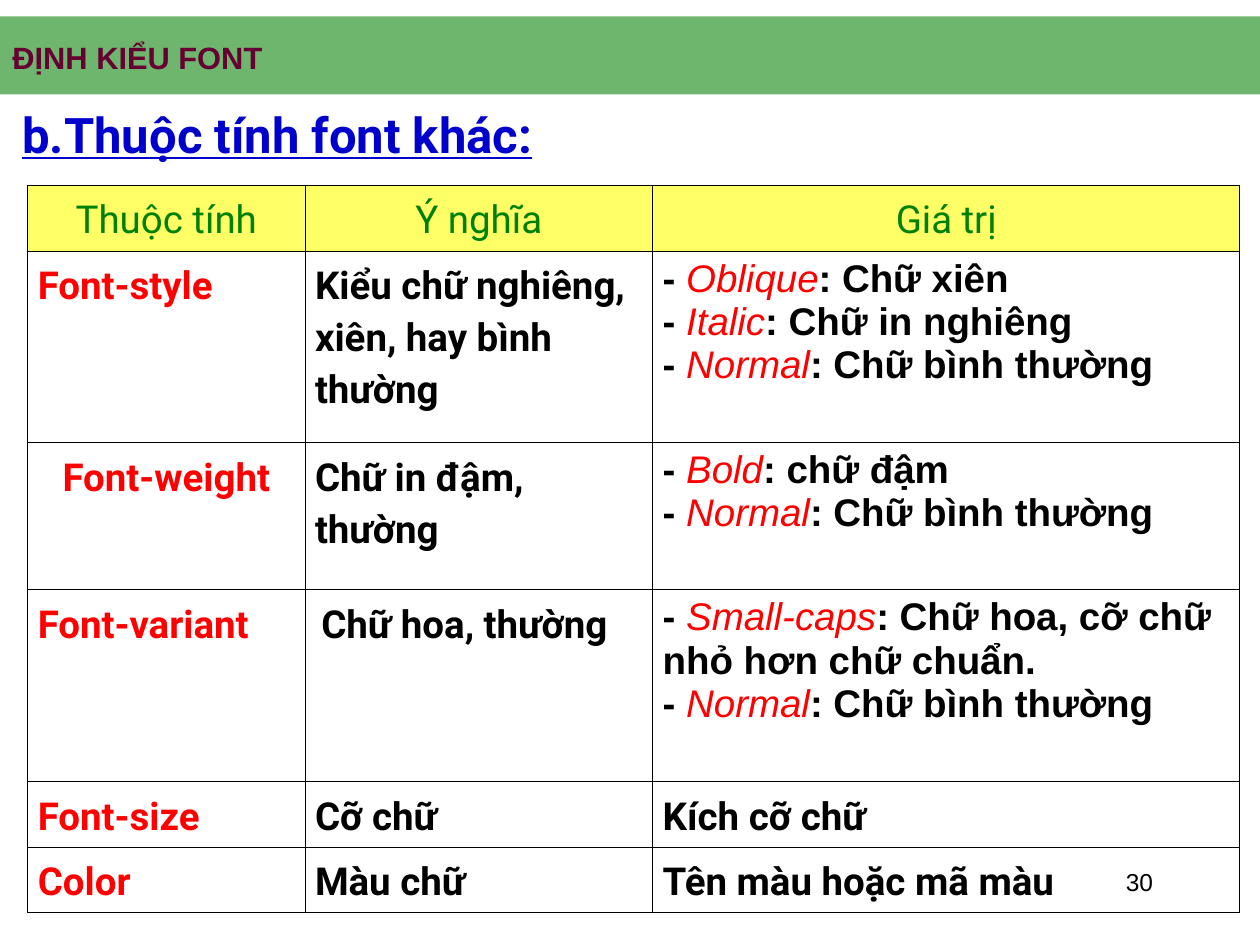
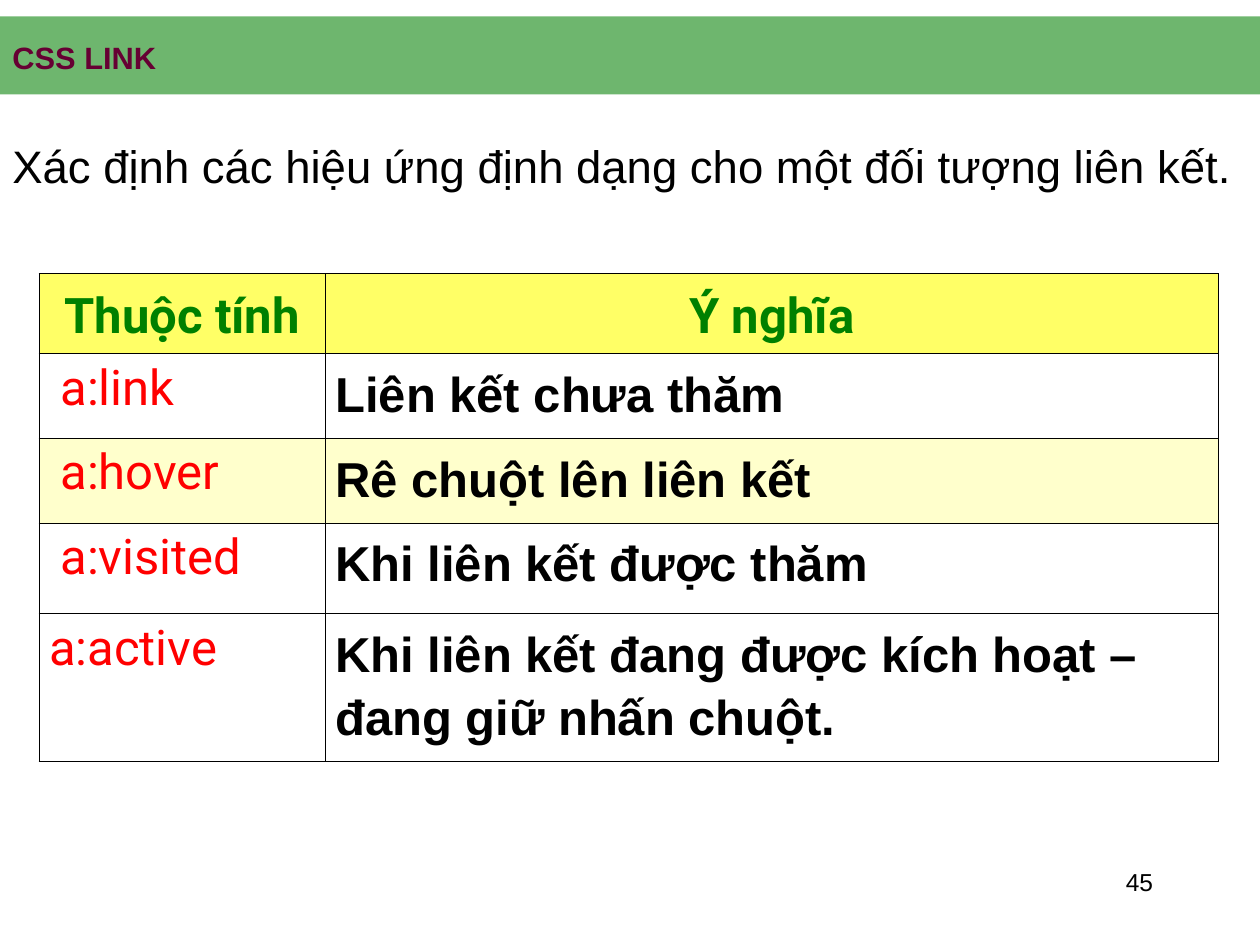
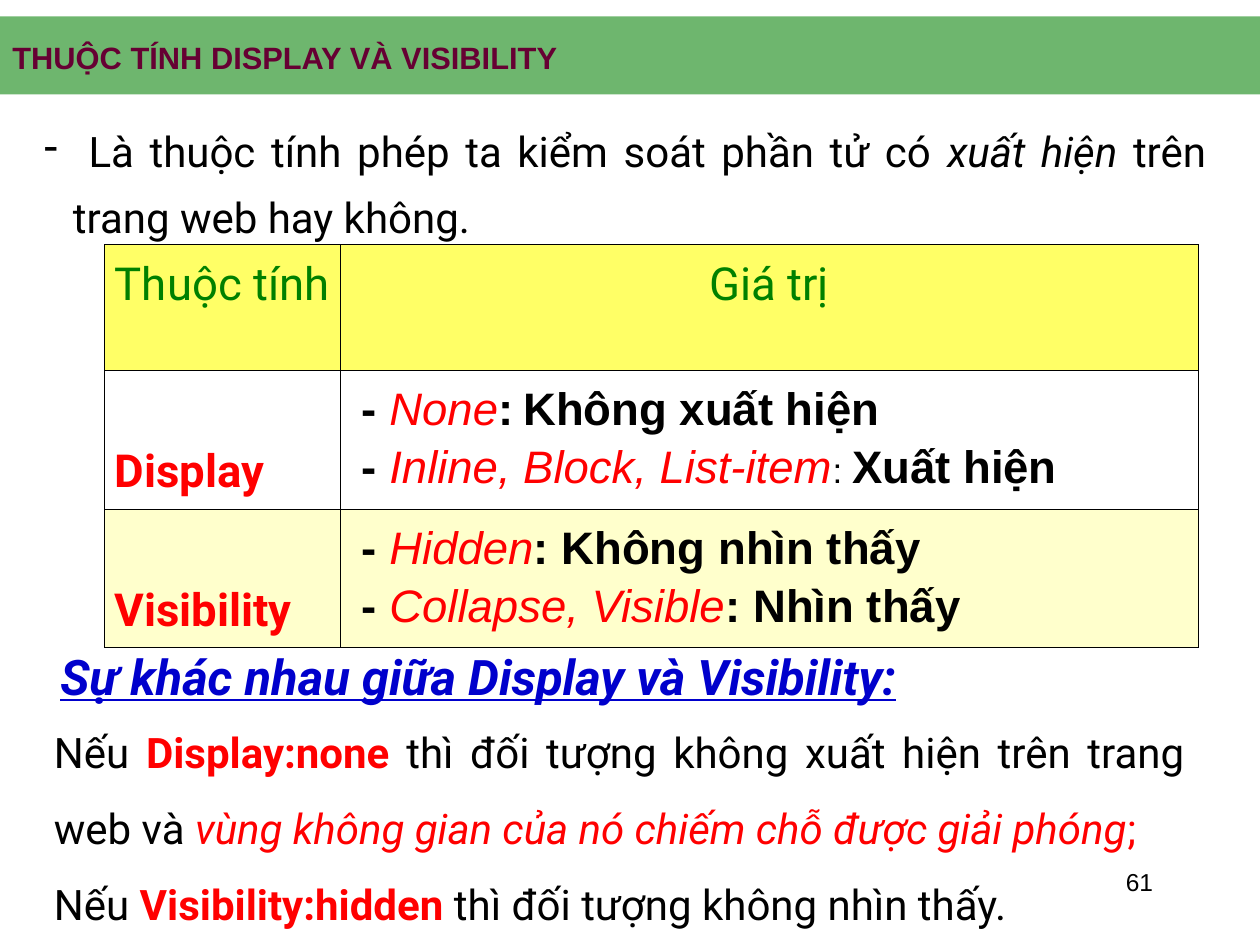
from dataclasses import dataclass

from lxml.etree import SubElement
from pptx import Presentation
from pptx.dml.color import RGBColor
from pptx.enum.shapes import MSO_SHAPE
from pptx.enum.text import MSO_ANCHOR, PP_ALIGN
from pptx.oxml.ns import qn
from pptx.util import Inches, Pt

GREEN = RGBColor(0x00, 0x80, 0x00)
MAROON = RGBColor(0x66, 0x00, 0x33)
BLUE = RGBColor(0x00, 0x00, 0xCC)
RED = RGBColor(0xFF, 0x00, 0x00)
BLACK = RGBColor(0x00, 0x00, 0x00)
YELLOW = RGBColor(0xFF, 0xFF, 0x66)
CREAM = RGBColor(0xFF, 0xFF, 0xCC)

WIDTH, HEIGHT = Inches(10), Inches(7.5)
COLUMN, ROW = WIDTH / 100, HEIGHT / 100

BAND = (0, 1.73, 100, 8.27)
TITLE = (0, 3.2, 100, 5.6)
NUMBER = (71.7, 91.07, 20.8, 6.67)

HEADER = dict(font="Roboto", color=GREEN, align=PP_ALIGN.CENTER, spacing=1.15)
PROPERTY = dict(font="Roboto", color=RED, bold=True, spacing=1.15)
MEANING = dict(font="Roboto", bold=True, spacing=1.15)
SUBTITLE = dict(font="Roboto", size=28, color=BLUE, bold=True, underline=True)
BODY = dict(font="Roboto", size=24, align=PP_ALIGN.JUSTIFY)
KEYWORD = dict(color=RED, bold=True)
TERM = dict(color=RED, bold=False, italic=True)


@dataclass
class Cell:
    paragraphs: list
    style: dict
    inset: float = 0.08
    bottom: float = 0.05
    anchor: MSO_ANCHOR = MSO_ANCHOR.TOP


def place(box):
    left, top, width, height = box
    return (round(left * COLUMN), round(top * ROW),
            round(width * COLUMN), round(height * ROW))


def add_bullet(paragraph, mark, indent):
    properties = paragraph._p.get_or_add_pPr()
    properties.set("marL", str(Inches(indent)))
    properties.set("indent", str(-Inches(indent)))
    SubElement(properties, qn("a:buChar")).set("char", mark)


def write(frame, paragraphs, align=PP_ALIGN.LEFT, spacing=1.0, bullet=None, **style):
    base = dict(font="Arial", size=22, color=BLACK, bold=False,
                italic=False, underline=False) | style
    for index, runs in enumerate(paragraphs):
        paragraph = frame.add_paragraph() if index else frame.paragraphs[0]
        paragraph.alignment = align
        paragraph.line_spacing = spacing
        if bullet:
            add_bullet(paragraph, bullet, indent=0.23)
        for part in [runs] if isinstance(runs, str) else runs:
            text, changes = (part, {}) if isinstance(part, str) else part
            look = base | changes
            run = paragraph.add_run()
            run.text = text
            run.font.name = look["font"]
            run.font.size = Pt(look["size"])
            run.font.color.rgb = look["color"]
            run.font.bold = look["bold"]
            run.font.italic = look["italic"]
            run.font.underline = look["underline"]


def add_text(slide, box, paragraphs, anchor=MSO_ANCHOR.TOP, wrap=True, **style):
    frame = slide.shapes.add_textbox(*place(box)).text_frame
    frame.word_wrap = wrap
    frame.vertical_anchor = anchor
    write(frame, paragraphs, **style)


def add_page(deck, title, number):
    slide = deck.slides.add_slide(deck.slide_layouts[6])
    add_text(slide, NUMBER, [number], size=14, align=PP_ALIGN.RIGHT)
    band = slide.shapes.add_shape(MSO_SHAPE.RECTANGLE, *place(BAND))
    band.shadow.inherit = False
    band.fill.solid()
    band.fill.fore_color.rgb = GREEN
    color = band._element.spPr.find(qn("a:solidFill"))[0]
    SubElement(color, qn("a:alpha")).set("val", "57000")
    band.line.fill.background()
    add_text(slide, TITLE, [title], anchor=MSO_ANCHOR.MIDDLE,
             size=17.6, color=MAROON, bold=True)
    return slide


def add_borders(cell):
    properties = cell._tc.get_or_add_tcPr()
    for side in ("lnL", "lnR", "lnT", "lnB"):
        line = SubElement(properties, qn(f"a:{side}"), w=str(Pt(0.45)))
        fill = SubElement(line, qn("a:solidFill"))
        SubElement(fill, qn("a:srgbClr"), val=str(BLACK))


def share(total, weights):
    return [round(total * weight / sum(weights)) for weight in weights]


def add_grid(slide, box, widths, heights, rows, fills, size):
    left, top, width, height = place(box)
    table = slide.shapes.add_table(len(rows), len(widths), left, top, width, height).table
    table.first_row = table.horz_banding = False
    for column, length in zip(table.columns, share(width, widths)):
        column.width = length
    for row, length in zip(table.rows, share(height, heights)):
        row.height = length
    for row, contents, fill in zip(table.rows, rows, fills):
        for cell, content in zip(row.cells, contents):
            add_borders(cell)
            if fill is None:
                cell.fill.background()
            else:
                cell.fill.solid()
                cell.fill.fore_color.rgb = fill
            cell.margin_left = Inches(content.inset)
            cell.margin_right = Inches(0.08)
            cell.margin_top = Inches(0.05)
            cell.margin_bottom = Inches(content.bottom)
            cell.vertical_anchor = content.anchor
            write(cell.text_frame, content.paragraphs, **({"size": size} | content.style))


def header(*names, **changes):
    return [Cell([name], HEADER | changes) for name in names]


def value(term, *tail):
    return ["- ", (term, TERM), *tail]


def font_page(deck):
    slide = add_page(deck, "ĐỊNH KIỂU FONT", "30")
    add_text(slide, (0.8, 11.07, 98.3, 8.93), ["b.Thuộc tính font khác:"],
             spacing=0.9, **SUBTITLE)
    normal = value("Normal", ": Chữ bình thường")
    values = dict(bold=True)
    rows = [
        header("Thuộc tính", "Ý nghĩa", "Giá trị"),
        [Cell(["Font-style"], PROPERTY),
         Cell(["Kiểu chữ nghiêng, xiên, hay bình thường"], MEANING),
         Cell([value("Oblique", ": Chữ xiên"),
               value("Italic", ": Chữ in nghiêng"), normal], values)],
        [Cell(["Font-weight"], PROPERTY | dict(align=PP_ALIGN.CENTER)),
         Cell(["Chữ in đậm, thường"], MEANING),
         Cell([value("Bold", ": chữ đậm"), normal], values)],
        [Cell(["Font-variant"], PROPERTY),
         Cell(["Chữ hoa, thường"], MEANING, inset=0.13),
         Cell([value("Small-caps", ": Chữ hoa, cỡ chữ nhỏ hơn chữ chuẩn."), normal], values)],
        [Cell(["Font-size"], PROPERTY), Cell(["Cỡ chữ"], MEANING),
         Cell(["Kích cỡ chữ"], MEANING)],
        [Cell(["Color"], PROPERTY), Cell(["Màu chữ"], MEANING),
         Cell(["Tên màu hoặc mã màu"], MEANING)],
    ]
    add_grid(slide, (2.2, 19.6, 96.2, 76.93), (2.2, 2.76, 4.66),
             (0.52, 1.52, 1.17, 1.52, 0.52, 0.52), rows,
             [YELLOW] + [None] * 5, size=22)


def link_page(deck):
    slide = add_page(deck, "CSS LINK", "45")
    add_text(slide, (0, 12.27, 100, 8.93),
             ["Xác định các hiệu ứng định dạng cho một đối tượng liên kết."],
             size=26, spacing=1.3)
    states = [
        ("a:link", "Liên kết chưa thăm", 0.17),
        ("a:hover", "Rê chuột lên liên kết", 0.17),
        ("a:visited", "Khi liên kết được thăm", 0.17),
        ("a:active", "Khi liên kết đang được kích hoạt – đang giữ nhấn chuột.", 0.08),
    ]
    selector = dict(font="Roboto", color=RED)
    effect = MEANING | dict(font="Arial")
    rows = [header("Thuộc tính", "Ý nghĩa", bold=True)]
    rows += [[Cell([state], selector, inset), Cell([meaning], effect)]
             for state, meaning, inset in states]
    add_grid(slide, (3.1, 28.93, 93.6, 51.6), (2.27, 7.08),
             (0.63, 0.67, 0.67, 0.72, 1.17), rows,
             [YELLOW, None, CREAM, None, None], size=28)


def display_page(deck):
    slide = add_page(deck, "THUỘC TÍNH DISPLAY VÀ VISIBILITY", "61")
    add_text(slide, (2.5, 11.07, 94.2, 15.2),
             [[" Là thuộc tính phép ta kiểm soát phần tử có ",
               ("xuất hiện", dict(italic=True)), " trên trang web hay không."]],
             spacing=1.3, bullet="-", **BODY)
    small = dict(size=20)
    properties = [
        ("Display", [value("None", ":", (" ", small), "Không xuất hiện"),
                     value("Inline, Block, List-item",
                           (": ", small | dict(bold=False)), "Xuất hiện")]),
        ("Visibility", [value("Hidden", ": Không nhìn thấy"),
                        value("Collapse, Visible", ": Nhìn thấy")]),
    ]
    rows = [header("Thuộc tính", "Giá trị")]
    rows += [[Cell([name], PROPERTY, bottom=0.08, anchor=MSO_ANCHOR.BOTTOM),
              Cell(values, dict(bold=True, spacing=1.15), inset=0.17)]
             for name, values in properties]
    add_grid(slide, (8.3, 25.87, 86.8, 42.67), (1.87, 6.81), (1, 1.1, 1.1),
             rows, [YELLOW, None, CREAM], size=26)
    add_text(slide, (3.8, 67.73, 75.1, 7.6), ["Sự khác nhau giữa Display và Visibility:"],
             wrap=False, italic=True, **SUBTITLE)
    add_text(slide, (3.3, 73.6, 91.7, 25), [
        ["Nếu ", ("Display:none ", KEYWORD),
         "thì đối tượng không xuất hiện trên trang web và ",
         ("vùng không gian của nó chiếm chỗ được giải phóng", TERM),
         (";", dict(color=RED))],
        ["Nếu ", ("Visibility:hidden", KEYWORD), " thì đối tượng không nhìn thấy."],
    ], spacing=1.5, **BODY)


def main():
    deck = Presentation()
    deck.slide_width, deck.slide_height = WIDTH, HEIGHT
    for build in (font_page, link_page, display_page):
        build(deck)
    deck.save("out.pptx")


if __name__ == "__main__":
    main()
